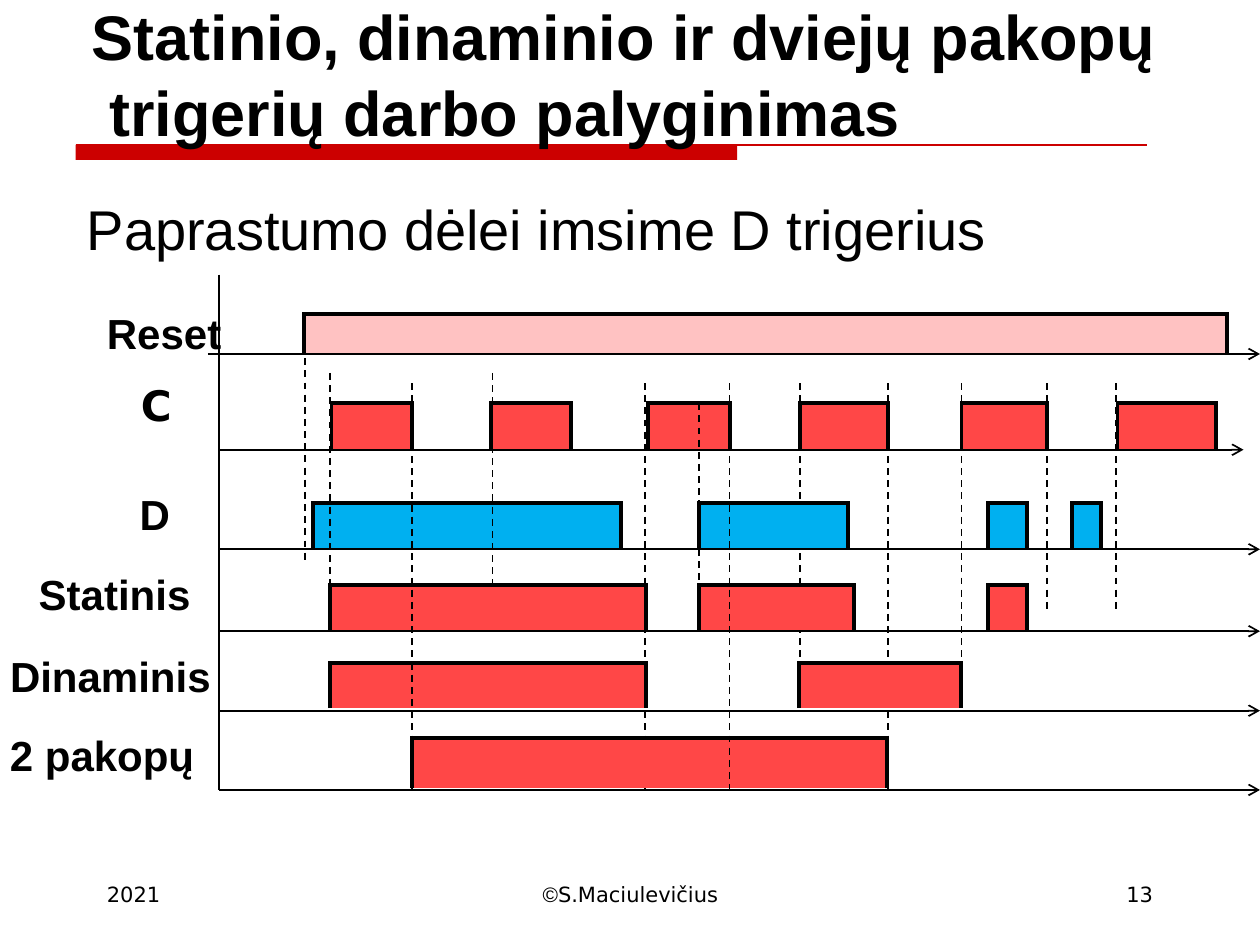
import pptx
import pptx.util
import pptx.dml.color
import pptx.enum.dml
import pptx.enum.shapes
import pptx.enum.text
import pptx.oxml.ns
import lxml.etree

Pt = pptx.util.Pt
ALIGN = pptx.enum.text.PP_ALIGN
ANCHOR = pptx.enum.text.MSO_ANCHOR
SANS, WIDE = "Arial", "DejaVu Sans"
BLACK, BRAND, PINK, RED, BLUE = "000000", "CC0000", "FFC2C2", "FF4747", "00B0F0"

AXIS = 125.3  # x of the vertical axis
END = 720     # right edge of the slide

# Signal rows: top and base of the pulses
RESET, CLOCK, DATA = (179.3, 201.6), (230.4, 257), (287.3, 313.9)
STATIC, DYNAMIC, STAGED = (334.1, 360.4), (378.7, 404.6), (421.9, 450)

# Pulses: row, colour, (left, right) spans
EARLY = [
    (RESET, PINK, [(173.5, 701.3)]),
    (CLOCK, RED, [(189.4, 235.4), (280.8, 326.2), (370.1, 416.9),
                  (457.2, 507.6), (549.4, 598.3), (638.6, 694.8)]),
    (DATA, BLUE, [(178.6, 355)]),
]
LATE = [
    (DATA, BLUE, [(399.6, 484.6), (564.5, 586.8), (612.7, 629.3)]),
    (STATIC, RED, [(188.6, 369.4), (399.6, 488.2), (564.5, 586.8)]),
    (DYNAMIC, RED, [(188.6, 369.4), (456.5, 549.4)]),
    (STAGED, RED, [(235.4, 506.9)]),
]

# Time axes: left, right, y
AXES = [(118.8, END, 202.3), (AXIS, 710.6, 257), (AXIS, END, 313.9),
        (AXIS, END, 360.7), (AXIS, END, 406.1), (AXIS, END, 451.4)]

# Dashed guides: x, top, bottom
BACK = [(281.5, 213.1, 343.4), (637.9, 218.9, 349.2), (457.2, 218.9, 388.8),
        (399.6, 230.4, 360.7), (368.6, 218.9, 451.4), (507.6, 218.9, 451.4),
        (188.6, 213.1, 343.4), (174.2, 190.8, 321.1)]
FRONT = [(235.4, 218.9, 451.4), (416.9, 218.9, 451.4),
         (549.4, 218.9, 388.8), (598.3, 218.9, 349.2)]

# Row labels: text, left, top, width, font, alignment
LABELS = [
    ("Reset", 54, 172.1, 79.9, SANS, ALIGN.LEFT),
    ("C", 73.4, 213.1, 29.5, WIDE, ALIGN.LEFT),
    ("D", 72.7, 275.8, 31.7, SANS, ALIGN.LEFT),
    ("Statinis", 0, 321.1, 115.9, SANS, ALIGN.RIGHT),
    ("Dinaminis", -1.4, 367.9, 128.9, SANS, ALIGN.RIGHT),
    ("2 pakopų", -1.4, 413.3, 119.5, SANS, ALIGN.RIGHT),
]


def color(code):
    return pptx.dml.color.RGBColor.from_string(code)


def add_tag(parent, tag, **attrs):
    name = pptx.oxml.ns.qn(tag)
    return lxml.etree.SubElement(parent, name, attrs)


def add_text(slide, text, left, top, width, height, size, font=SANS,
             bold=False, align=ALIGN.LEFT, anchor=ANCHOR.TOP, wrap=True):
    box = slide.shapes.add_textbox(Pt(left), Pt(top), Pt(width), Pt(height))
    frame = box.text_frame
    frame.word_wrap = wrap
    frame.vertical_anchor = anchor
    para = frame.paragraphs[0]
    para.text = text
    para.alignment = align
    para.font.size = Pt(size)
    para.font.name = font
    para.font.bold = bold
    para.font.color.rgb = color(BLACK)
    return para


def add_line(slide, x1, y1, x2, y2, code=BLACK, width=1, dash=False, arrow=False):
    kind = pptx.enum.shapes.MSO_CONNECTOR.STRAIGHT
    line = slide.shapes.add_connector(kind, Pt(x1), Pt(y1), Pt(x2), Pt(y2))
    line.line.color.rgb = color(code)
    line.line.width = Pt(width)
    if dash:
        line.line.dash_style = pptx.enum.dml.MSO_LINE.DASH
    if arrow:
        add_tag(line.line._get_or_add_ln(), "a:tailEnd", type="arrow")
    add_tag(line._element.spPr, "a:effectLst")


def add_pulse(slide, left, right, top, base, code):
    build = slide.shapes.build_freeform(Pt(left), Pt(base))
    points = [(left, top), (right, top), (right, base)]
    build.add_line_segments([(Pt(x), Pt(y)) for x, y in points], close=False)
    pulse = build.convert_to_shape()
    pulse.shadow.inherit = False
    pulse.fill.solid()
    pulse.fill.fore_color.rgb = color(code)
    pulse.line.color.rgb = color(BLACK)
    pulse.line.width = Pt(2.25)
    add_tag(pulse.line._get_or_add_ln(), "a:miter", lim="800000")


def add_rows(slide, rows):
    for (top, base), code, spans in rows:
        for left, right in spans:
            add_pulse(slide, left, right, top, base, code)


def add_guides(slide, guides):
    for x, top, base in guides:
        add_line(slide, x, top, x, base, dash=True)


def add_head(slide):
    kind = pptx.enum.shapes.MSO_SHAPE.RECTANGLE
    bar = slide.shapes.add_shape(kind, Pt(43.2), Pt(82.8), Pt(378), Pt(8.64))
    bar.shadow.inherit = False
    bar.fill.solid()
    bar.fill.fore_color.rgb = color(BRAND)
    bar.line.fill.background()
    add_line(slide, 43.2, 82.8, 655.2, 82.8, BRAND, 0.75)
    add_text(slide, "Statinio, dinaminio ir dviejų pakopų\v trigerių darbo palyginimas",
             45.4, 29.5, 630, 59, 36, bold=True, anchor=ANCHOR.BOTTOM)
    add_text(slide, "Paprastumo dėlei imsime D trigerius",
             42.5, 107.5, 644.4, 51.1, 32)


def add_foot(slide):
    top, height, size = 500.4, 36, 12
    add_text(slide, "2021", 54, top, 149.8, height, size, WIDE)
    para = add_text(slide, "©", 246.2, top, 228.2, height, size,
                    WIDE, align=ALIGN.CENTER)
    para.runs[0].font.name = SANS
    para.add_run().text = "S.Maciulevičius"
    add_text(slide, "13", 516.2, top, 149.8, height, size, WIDE, align=ALIGN.RIGHT)


def main():
    deck = pptx.Presentation()
    deck.slide_width, deck.slide_height = Pt(720), Pt(540)
    slide = deck.slides.add_slide(deck.slide_layouts[6])
    add_head(slide)

    # Timing diagram
    add_line(slide, AXIS, 157, AXIS, 451.4)
    add_rows(slide, EARLY)
    add_guides(slide, BACK)
    add_rows(slide, LATE)
    add_guides(slide, FRONT)
    for left, right, y in AXES:
        add_line(slide, left, y, right, y, arrow=True)
    for text, left, top, width, font, align in LABELS:
        add_text(slide, text, left, top, width, 36, 24, font, True, align, wrap=False)

    add_foot(slide)
    deck.save("out.pptx")


if __name__ == "__main__":
    main()
